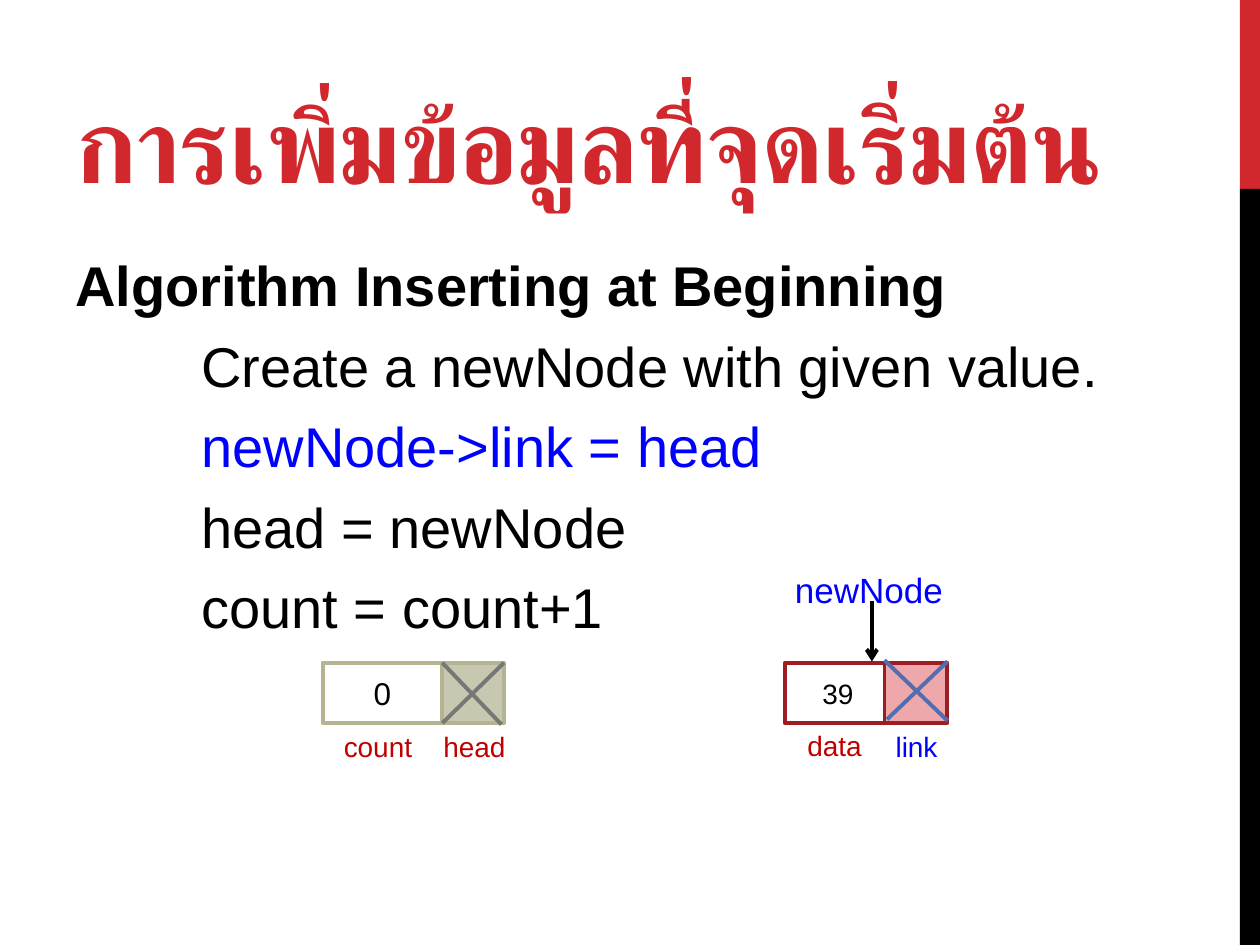
from dataclasses import dataclass

from lxml.etree import SubElement
from pptx import Presentation
from pptx.dml.color import RGBColor
from pptx.enum.shapes import MSO_CONNECTOR as Connector, MSO_SHAPE as Preset
from pptx.enum.text import MSO_ANCHOR as Anchor, MSO_AUTO_SIZE as AutoSize, PP_ALIGN as Align
from pptx.oxml.ns import qn
from pptx.util import Emu, Inches, Pt

WIDTH, HEIGHT = Inches(10), Inches(7.5)
COLUMN, ROW = WIDTH / 100, HEIGHT / 75
FONT = "Arial"
LINE_WIDTH = Pt(2.25)

RED = RGBColor(0xD1, 0x28, 0x2E)
BLACK = RGBColor(0, 0, 0)
WHITE = RGBColor(0xFF, 0xFF, 0xFF)
BLUE = RGBColor(0, 0, 0xFF)
LABEL_RED = RGBColor(0xC0, 0, 0)
OLIVE = RGBColor(0xB4, 0xB3, 0x92)
PALE_OLIVE = RGBColor(0xC8, 0xC8, 0xB1)
GRAY = RGBColor(0x77, 0x77, 0x77)
DARK_RED = RGBColor(0x9D, 0x1E, 0x22)
PINK = RGBColor(0xEE, 0xA7, 0xAA)
STEEL = RGBColor(0x52, 0x6D, 0xB0)


@dataclass(frozen=True)
class Area:
    column: float
    row: float
    columns: float
    rows: float

    def place(self) -> tuple:
        return (Emu(round(self.column * COLUMN)), Emu(round(self.row * ROW)),
                Emu(round(self.columns * COLUMN)), Emu(round(self.rows * ROW)))


@dataclass(frozen=True)
class Style:
    size: float
    color: RGBColor = BLACK
    bold: bool = False


@dataclass(frozen=True)
class Label:
    text: str
    area: Area
    style: Style


@dataclass(frozen=True)
class Stroke:
    start: tuple[float, float]
    end: tuple[float, float]
    color: RGBColor
    arrow: bool = False


@dataclass(frozen=True)
class Node:
    value: Label
    pointer: Area
    border: RGBColor
    tint: RGBColor
    labels: tuple[Label, ...]
    cross: tuple[Stroke, ...]


@dataclass(frozen=True)
class Step:
    text: str
    style: Style
    indent: int = 1


BODY = Style(32)
STEPS = (
    Step("Algorithm Inserting at Beginning", Style(32, bold=True), 0),
    Step("Create a newNode with given value.", BODY),
    Step("newNode->link = head", Style(32, BLUE)),
    Step("head = newNode", BODY),
    Step("count = count+1", BODY),
)
NODES = (
    Node(Label("0", Area(25.6, 52.6, 9.5, 4.8), Style(18)),
         Area(35.1, 52.6, 4.9, 4.8), OLIVE, PALE_OLIVE,
         (Label("count", Area(26.3, 57.4, 7.5, 3.7), Style(16, LABEL_RED)),
          Label("head", Area(34.2, 57.4, 7, 3.7), Style(16, LABEL_RED))),
         (Stroke((40, 52.6), (35.1, 57.4), GRAY),
          Stroke((39.8, 57.5), (35.1, 52.6), GRAY))),
    Node(Label("39", Area(62.3, 52.6, 8.4, 4.8), Style(16)),
         Area(70.2, 52.6, 5, 4.8), DARK_RED, PINK,
         (Label("data", Area(63.1, 57.3, 6.4, 3.7), Style(16, LABEL_RED)),
          Label("link", Area(70.1, 57.4, 5.4, 3.7), Style(16, BLUE))),
         (Stroke((70.2, 52.4), (75.2, 57.2), STEEL),
          Stroke((75.2, 52.5), (70.4, 57.1), STEEL))),
)


def add_span(para, text: str, style: Style):
    span = para.add_run()
    span.text = text
    span.font.name = FONT
    span.font.size = Pt(style.size)
    span.font.bold = style.bold
    span.font.color.rgb = style.color
    return span


def add_rectangle(page, area: Area, fill: RGBColor, border: RGBColor | None = None):
    box = page.shapes.add_shape(Preset.RECTANGLE, *area.place())
    box.shadow.inherit = False
    box.fill.solid()
    box.fill.fore_color.rgb = fill
    if border is None:
        box.line.fill.background()
    else:
        box.line.color.rgb = border
        box.line.width = LINE_WIDTH
    return box


def add_label(page, label: Label) -> None:
    frame = page.shapes.add_textbox(*label.area.place()).text_frame
    frame.word_wrap = False
    frame.auto_size = AutoSize.SHAPE_TO_FIT_TEXT
    add_span(frame.paragraphs[0], label.text, label.style)


def add_stroke(page, stroke: Stroke) -> None:
    ends = [Emu(round(place * unit)) for point in (stroke.start, stroke.end)
            for place, unit in zip(point, (COLUMN, ROW))]
    line = page.shapes.add_connector(Connector.STRAIGHT, *ends)
    line.line.color.rgb = stroke.color
    line.line.width = LINE_WIDTH
    if stroke.arrow:
        SubElement(line.line._get_or_add_ln(), qn("a:tailEnd"), type="arrow")
    SubElement(line._element.spPr, qn("a:effectLst"))


def add_node(page, node: Node) -> None:
    box = add_rectangle(page, node.value.area, WHITE, node.border)
    box.text_frame.vertical_anchor = Anchor.MIDDLE
    para = box.text_frame.paragraphs[0]
    para.alignment = Align.CENTER
    add_span(para, node.value.text, node.value.style)
    add_rectangle(page, node.pointer, node.tint, node.border)
    for label in node.labels:
        add_label(page, label)
    for stroke in node.cross:
        add_stroke(page, stroke)


def add_title(page, text: str) -> None:
    frame = page.shapes.add_textbox(*Area(5, 1.7, 87.5, 15).place()).text_frame
    frame.word_wrap = True
    frame.vertical_anchor = Anchor.BOTTOM
    span = add_span(frame.paragraphs[0], text, Style(60, RED, True))
    properties = span.font._element
    properties.set("spc", "-60")
    SubElement(properties, qn("a:cs"), typeface=FONT)


def add_steps(page, steps: tuple[Step, ...]) -> None:
    frame = page.shapes.add_textbox(*Area(5, 19.2, 87.5, 47.8).place()).text_frame
    frame.word_wrap = True
    for index, step in enumerate(steps):
        para = frame.add_paragraph() if index else frame.paragraphs[0]
        para.space_after = Pt(6)
        para.line_spacing = 1.04
        para._p.get_or_add_pPr().set("marL", str(round(step.indent * 10 * COLUMN)))
        add_span(para, step.text, step.style)


def main() -> None:
    deck = Presentation()
    deck.slide_width, deck.slide_height = WIDTH, HEIGHT
    page = deck.slides.add_slide(deck.slide_layouts[6])
    add_rectangle(page, Area(98.4, 0, 1.6, 15), RED)
    add_rectangle(page, Area(98.4, 15, 1.6, 60), BLACK)
    add_title(page, "การเพิ่มข้อมูลที่จุดเริ่มต้น")
    add_steps(page, STEPS)
    for node in NODES:
        add_node(page, node)
    add_label(page, Label("newNode", Area(62.1, 44.6, 13.9, 4.4), Style(20, BLUE)))
    add_stroke(page, Stroke((69.2, 47.7), (69.2, 52.5), BLACK, True))
    deck.save("out.pptx")


if __name__ == "__main__":
    main()
